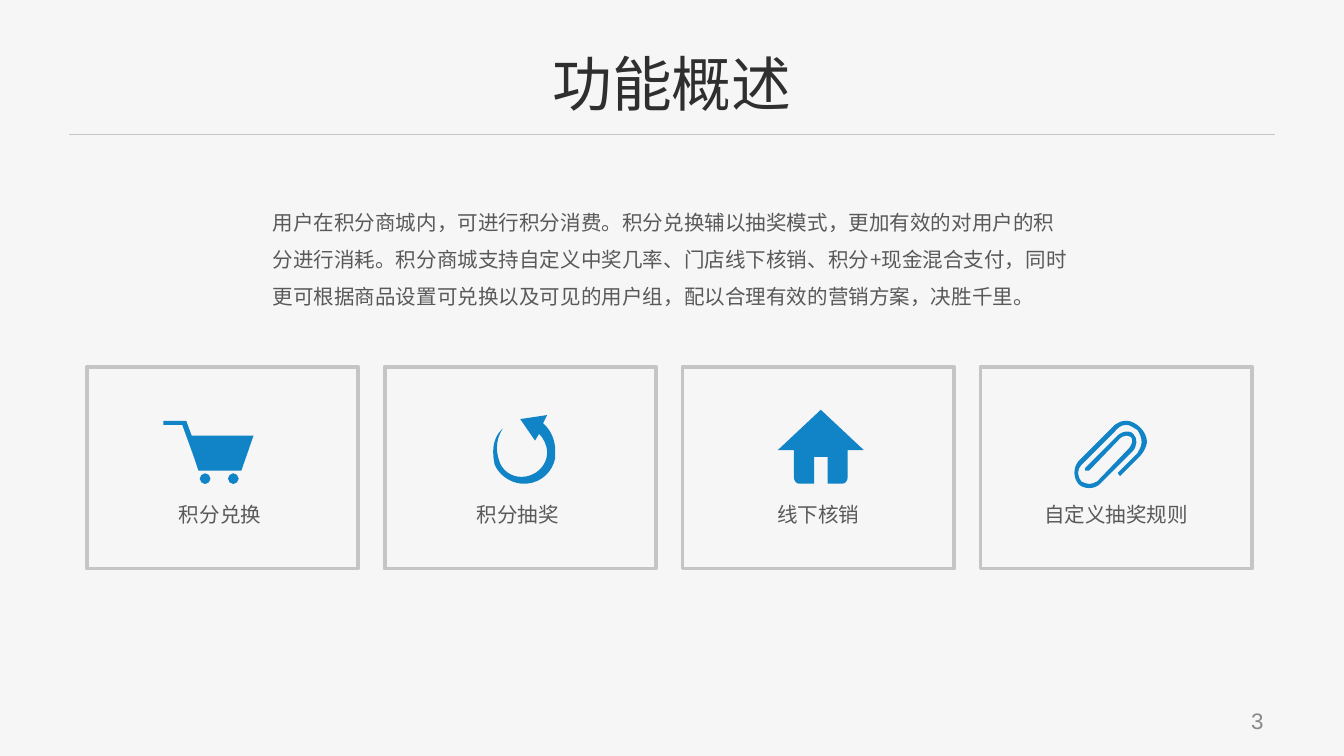
from lxml import etree
from pptx import Presentation, util as u
from pptx.dml.color import RGBColor
from pptx.enum import shapes, text
from pptx.oxml.ns import qn

GREY, BLUE, BODY = "C5C5C5", "1084C6", "595959"
SANS = "Noto Sans CJK SC"
UNIT = u.Cm(0.0254)

CART = [
    f"M {x} 39 C {x + 2} 39 {x + 4} 41 {x + 4} 43 C {x + 4} 45 {x + 2} 47 {x} 47 "
    f"C {x - 2} 47 {x - 4} 45 {x - 4} 43 C {x - 4} 41 {x - 2} 39 {x} 39"
    for x in (52, 31)
] + ["M 0 0 L 17 0 L 21 11 L 67 11 L 58 37 L 26 37 L 22 25 L 14 3 L 0 3"]
REFRESH = [
    "M 41 0 L 38 6 L 39 7 C 45 13 47 20 47 27 C 47 28 47 31 47 32 "
    "C 45 42 37 50 26 51 C 16 52 6 46 2 37 C 0 28 0 18 7 11 L 8 10 "
    "C 7 12 1 20 5 33 C 7 41 14 46 22 46 C 32 46 41 38 41 28 "
    "C 41 22 38 17 35 14 L 32 19 L 21 3"
]
HOUSE = [
    "M 32 0 L 64 30 L 52 30 L 52 50 C 52 53 50 55 48 55 L 37 55 L 37 35 "
    "L 27 35 L 27 55 L 16 55 C 14 55 12 53 12 50 L 12 30 L 0 30"
]
CLIP = [
    "M 40 0 L 39 0 C 33 0 29 5 29 5 L 4 30 C 0 35 0 42 4 47 C 6 49 9 50 12 50 "
    "C 15 50 18 49 20 47 L 44 23 C 48 19 48 13 45 10 C 44 8 42 8 40 8 "
    "C 38 8 35 9 33 11 L 9 35 C 9 35 9 36 9 37 L 11 37 L 12 37 L 35 13 "
    "C 36 12 38 11 40 11 C 41 11 42 11 43 12 C 45 14 44 17 42 20 L 18 45 "
    "C 16 46 14 47 12 47 C 10 47 8 46 6 45 C 3 41 3 36 6 33 L 32 7 "
    "C 32 7 35 3 39 3 L 40 3 C 42 3 45 5 48 7 C 50 10 51 13 51 16 "
    "C 51 20 48 23 48 24 L 34 38 C 33 38 33 39 34 40 C 34 40 34 41 35 41 "
    "C 35 41 36 40 36 40 L 50 26 C 50 26 54 22 55 16 C 55 12 53 8 50 5 "
    "C 47 2 43 0 40 0"
]
CARDS = [
    ("积分兑换 ", SANS, CART, 1.45, 1.02),
    ("积分抽奖 ", SANS, REFRESH, 2.03, 0.91),
    ("线下核销", "Arial", HOUSE, 1.8, 0.81),
    ("自定义抽奖规则", "Arial", CLIP, 1.75, 1.02),
]


def rgb(color):
    return RGBColor.from_string(color)


def set_text(sp, words, size, font, color, align, pad=0.0, anchor=text.MSO_ANCHOR.TOP):
    tf = sp.text_frame
    tf.word_wrap = True
    tf.auto_size = text.MSO_AUTO_SIZE.NONE
    tf.vertical_anchor = anchor
    tf.margin_left = tf.margin_right = u.Cm(0.25)
    tf.margin_top = tf.margin_bottom = u.Cm(pad)
    p = tf.paragraphs[0]
    p.text = words
    p.alignment = align
    p.font.size = u.Pt(size)
    p.font.name = font
    p.font.color.rgb = rgb(color)
    return p


def add_text(s, x, y, w, h, *args, **kwargs):
    sp = s.shapes.add_textbox(u.Cm(x), u.Cm(y), u.Cm(w), u.Cm(h))
    return set_text(sp, *args, **kwargs)


def add_rect(s, x, y, w, h):
    sp = s.shapes.add_shape(shapes.MSO_SHAPE.RECTANGLE, u.Cm(x), u.Cm(y), u.Cm(w), u.Cm(h))
    sp.shadow.inherit = False
    return sp


def add_backdrop(s, w, h):
    sp = add_rect(s, 0, 0, w, h)
    sp.fill.solid()
    sp.fill.fore_color.rgb = rgb("F6F6F6")
    sp.line.fill.background()
    s.shapes.title._element.addprevious(sp._element)


def outline_points(path):
    nums = [float(n) * UNIT for n in path.split() if n not in "MLC"]
    return list(zip(nums[::2], nums[1::2]))


def bend_curves(sp, paths):
    segments = iter(list(sp._element.iter(qn("a:lnTo"))))
    for command in "".join(paths):
        if command in "LC":
            segment = next(segments)
        if command == "C":
            segment.tag = qn("a:cubicBezTo")
            for extra in (next(segments), next(segments)):
                segment.append(extra[0])
                extra.getparent().remove(extra)


def add_icon(s, x, y, paths):
    first, *rest = [outline_points(path) for path in paths]
    fb = s.shapes.build_freeform(*first[0])
    fb.add_line_segments(first[1:])
    for points in rest:
        fb.move_to(*points[0])
        fb.add_line_segments(points[1:])
    sp = fb.convert_to_shape(u.Cm(x), u.Cm(y))
    bend_curves(sp, paths)
    sp.shadow.inherit = False
    sp.fill.solid()
    sp.fill.fore_color.rgb = rgb(BLUE)
    sp.line.fill.background()


def add_header(s, x, y, w, h):
    title = s.shapes.title
    title.left, title.top, title.width, title.height = map(u.Cm, (x, y, w, h))
    set_text(title, "功能概述", 32, "Calibri", "2F2F2F", text.PP_ALIGN.CENTER,
             pad=0.13, anchor=text.MSO_ANCHOR.MIDDLE)
    bottom = u.Cm(y + h)
    rule = s.shapes.add_connector(shapes.MSO_CONNECTOR.STRAIGHT,
                                  u.Cm(x + 0.03), bottom, u.Cm(x + w - 0.03), bottom)
    rule.line.color.rgb = rgb(GREY)
    rule.line.width = u.Pt(0.75)
    etree.SubElement(rule._element.spPr, qn("a:effectLst"))


def add_intro(s, x, y, w, h):
    p = add_text(
        s, x, y, w, h,
        "用户在积分商城内，可进行积分消费。积分兑换辅以抽奖模式，更加有效的对用户的积分进行消耗。"
        "积分商城支持自定义中奖几率、门店线下核销、积分+现金混合支付，"
        "同时更可根据商品设置可兑换以及可见的用户组，配以合理有效的营销方案，决胜千里。",
        11, SANS, BODY, text.PP_ALIGN.LEFT)
    p.line_spacing = 1.5


def add_card(s, x, y, w, h, label, font, icon, icon_x, icon_y):
    sp = add_rect(s, x, y, w, h)
    sp.fill.background()
    sp.line.color.rgb = rgb(GREY)
    sp.line.width = u.Pt(2)
    add_text(s, x, y + 2.56, w, 0.61, label, 11, font, BODY, text.PP_ALIGN.CENTER)
    add_icon(s, x + icon_x, y + icon_y, icon)


def add_cards(s, x, y, w, h, gap=0.5):
    card_w = (w - gap * (len(CARDS) - 1)) / len(CARDS)
    for i, card in enumerate(CARDS):
        add_card(s, x + i * (card_w + gap), y, card_w, h, *card)


def main():
    w, h = 25.4, 14.28
    prs = Presentation()
    prs.slide_width, prs.slide_height = u.Cm(w), u.Cm(h)
    s = prs.slides.add_slide(prs.slide_layouts[5])
    add_backdrop(s, w, h)
    add_header(s, 1.27, 0.58, 22.86, 1.96)
    add_intro(s, 4.9, 3.73, 15.6, 2.16)
    add_cards(s, 1.64, 6.93, 22.02, 3.81)
    add_text(s, 18.21, 13.24, 5.92, 0.76, "3", 12, "Arial", "898989",
             text.PP_ALIGN.RIGHT, pad=0.13, anchor=text.MSO_ANCHOR.MIDDLE)
    prs.save("out.pptx")


if __name__ == "__main__":
    main()
